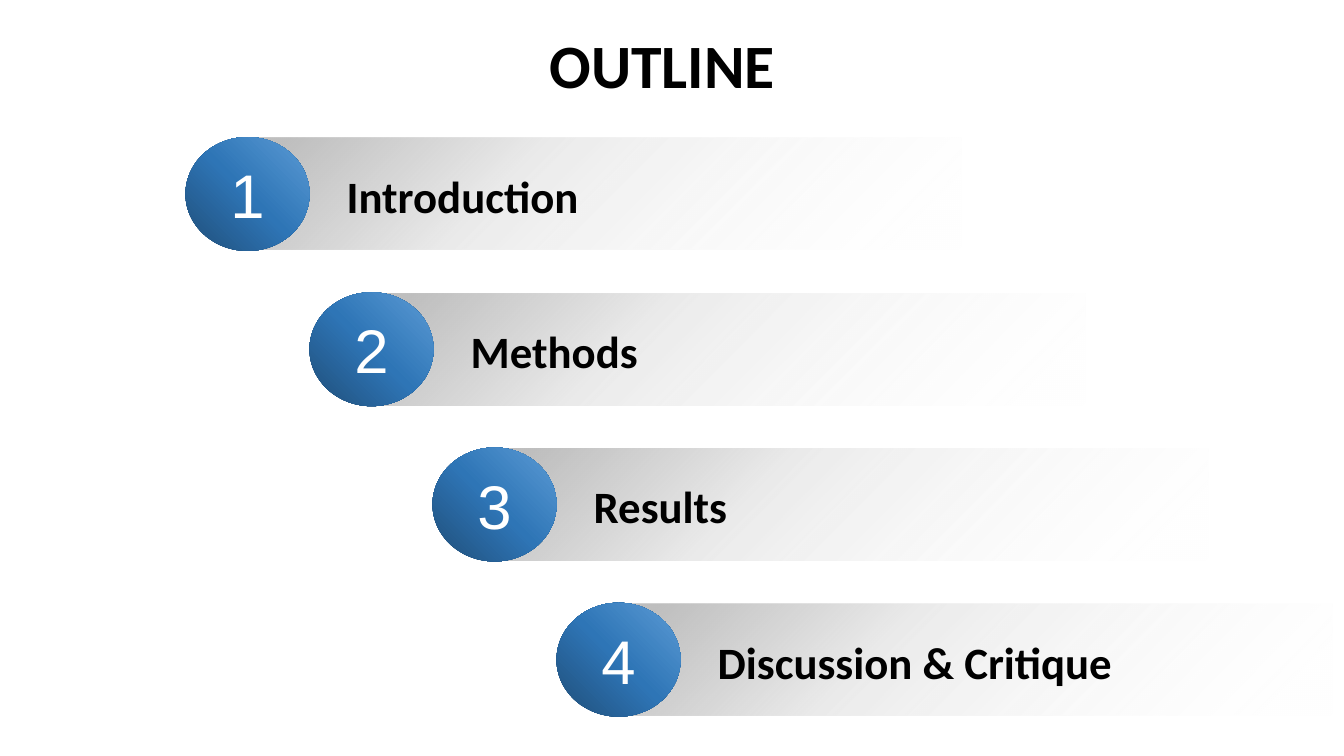
from dataclasses import dataclass

from pptx import Presentation
from pptx.dml.color import RGBColor
from pptx.enum.shapes import MSO_SHAPE as SHAPE
from pptx.enum.text import MSO_ANCHOR as ANCHOR, MSO_AUTO_SIZE as AUTOSIZE, PP_ALIGN as ALIGN
from pptx.oxml import parse_xml
from pptx.oxml.ns import nsdecls, qn
from pptx.util import Pt

PX = 9144  # 100 px to the inch


@dataclass(frozen=True)
class Theme:
    text: str = "000000"
    number: str = "FFFFFF"
    font: str = "Calibri"
    number_font: str = "Arial"
    title_size: int = 44
    item_size: int = 32
    # Gradient stops: position %, colour, opacity %
    bar: tuple = ((5, "BFBFBF", 100), (37, "BFBFBF", 31), (100, "FFFFFF", 0))
    disc: tuple = ((0, "1F4E79", 100), (50, "2E75B6", 100), (100, "5B9BD5", 100))


class OutlineSlide:
    def __init__(self, prs, theme):
        self.theme = theme
        self.slide = prs.slides.add_slide(prs.slide_layouts[5])

    def format(self, tf, text, size, font, color, bold=False, align=ALIGN.LEFT):
        tf.text = text
        tf.word_wrap = True
        tf.vertical_anchor = ANCHOR.MIDDLE
        p = tf.paragraphs[0]
        p.alignment = align
        f = p.runs[0].font
        f.size, f.name, f.bold = Pt(size), font, bold
        f.color.rgb = RGBColor.from_string(color)

    def title(self, text, *box):
        sp = self.slide.shapes.title
        sp.left, sp.top, sp.width, sp.height = (v * PX for v in box)
        t = self.theme
        self.format(sp.text_frame, text, t.title_size, t.font, t.text, True, ALIGN.CENTER)
        sp.text_frame.paragraphs[0].line_spacing = 0.9

    def gradient_shape(self, group, kind, box, stops, angle):
        sp = group.shapes.add_shape(kind, *(v * PX for v in box))
        sp.shadow.inherit = False
        sp.line.fill.background()
        sp.fill.gradient()
        gs = "".join(
            f'<a:gs pos="{pos * 1000}"><a:srgbClr val="{color}">'
            f'<a:alpha val="{alpha * 1000}"/></a:srgbClr></a:gs>'
            for pos, color, alpha in stops)
        spPr = sp._element.spPr
        spPr.replace(spPr.find(qn("a:gradFill")), parse_xml(
            f'<a:gradFill {nsdecls("a")} rotWithShape="1"><a:gsLst>{gs}</a:gsLst>'
            f'<a:lin ang="{angle * 60000}" scaled="0"/></a:gradFill>'))
        return sp

    def label(self, group, text, box):
        tf = group.shapes.add_textbox(*(v * PX for v in box)).text_frame
        t = self.theme
        self.format(tf, text, t.item_size, t.font, t.text, True)
        tf.auto_size = AUTOSIZE.SHAPE_TO_FIT_TEXT

    def item(self, number, text, x, y):
        t = self.theme
        group = self.slide.shapes.add_group_shape()
        self.gradient_shape(group, SHAPE.RECTANGLE, (x + 63, y + 1, 707, 111), t.bar, 45)
        self.label(group, text, (x + 150, y + 26, 627, 64))
        disc = self.gradient_shape(group, SHAPE.OVAL, (x, y, 123, 113), t.disc, 315)
        tf = disc.text_frame
        self.format(tf, str(number), t.title_size, t.number_font, t.number, align=ALIGN.CENTER)
        tf.margin_left = tf.margin_right = 8 * PX
        tf.margin_top = tf.margin_bottom = 10 * PX


def main():
    prs = Presentation()
    prs.slide_width, prs.slide_height = 1333 * PX, 750 * PX
    outline = OutlineSlide(prs, Theme())

    # Heading
    outline.title("OUTLINE", 197, 6, 920, 125)

    # Staircase of numbered sections
    sections = ("Introduction", "Methods", "Results", "Discussion & Critique")
    for i, section in enumerate(sections):
        outline.item(i + 1, section, round(184 + i * 368 / 3), 136 + i * 154)

    prs.save("out.pptx")


if __name__ == "__main__":
    main()
